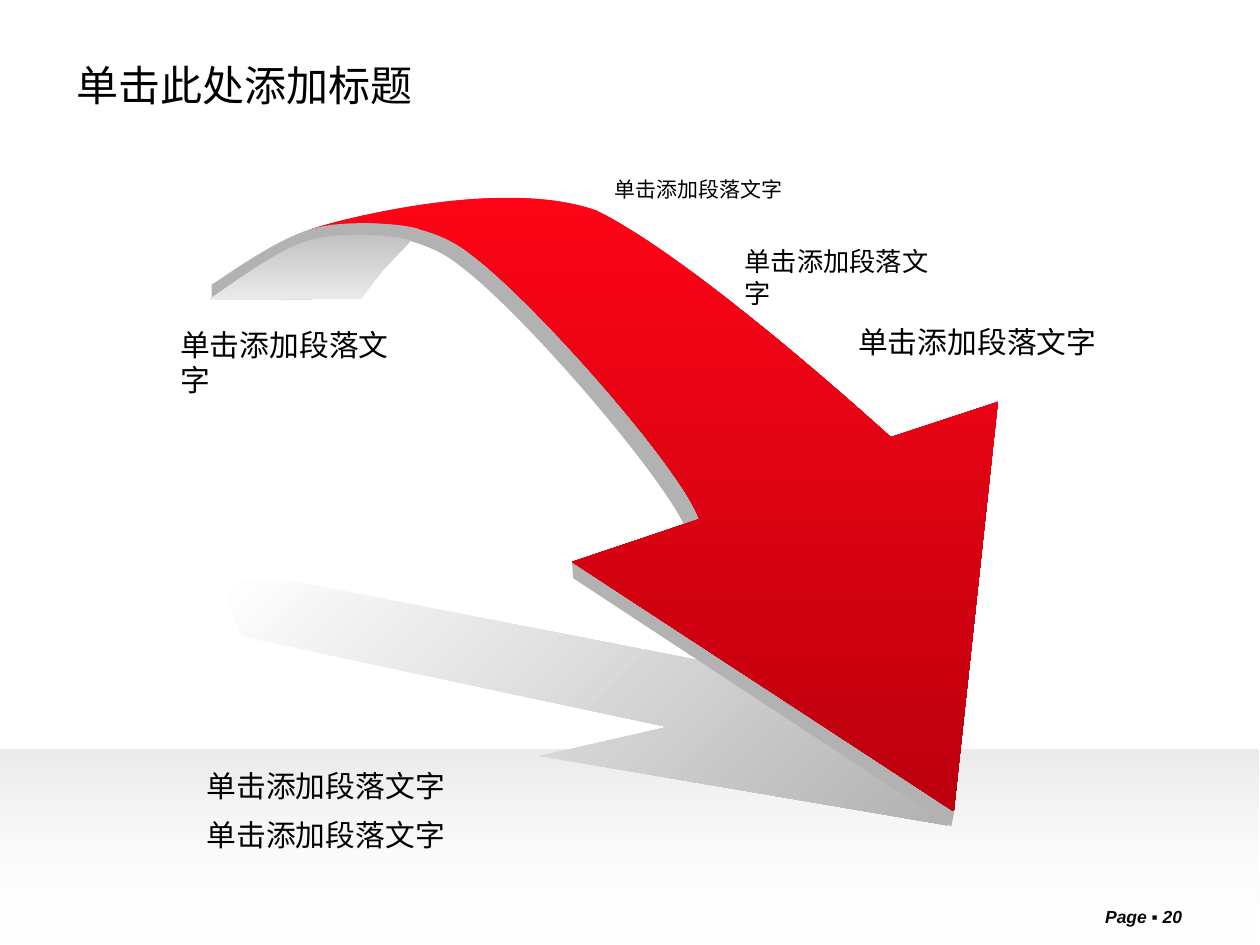
from lxml.etree import SubElement
from pptx import Presentation
from pptx.dml.color import RGBColor
from pptx.enum.shapes import MSO_SHAPE
from pptx.enum.text import MSO_ANCHOR, MSO_AUTO_SIZE, PP_ALIGN
from pptx.oxml.ns import qn
from pptx.util import Emu, Pt

EMU_PER_PX = 9144
FONT = "Arial"
BLACK = RGBColor(0, 0, 0)
WHITE = RGBColor(255, 255, 255)
EDGE_GRAY = RGBColor(0xB2, 0xB2, 0xB2)
TAIL_GRAY = RGBColor(0xC0, 0xC0, 0xC0)
TAIL_LIGHT = RGBColor(0xEA, 0xEA, 0xEA)
RED = RGBColor(0xFF, 0x05, 0x17)
DARK_RED = RGBColor(0xBC, 0x00, 0x0D)

# Each segment is a tuple of points: one ends a line, three make a curve.
CAST_SHADOW = [((752, 655),), ((429, 600),), ((530, 577),), ((192, 505),),
               ((173, 461),), ((226, 460),), ((575, 528),), ((747, 513),)]
ARROW_EDGE = [((545, 421),),
              ((529, 381), (416, 249), (365, 211)),
              ((311, 167), (222, 196), (238, 190)),
              ((255, 185), (387, 149), (463, 176)),
              ((544, 215), (698, 356), (698, 356)),
              ((783, 328),), ((757, 646),), ((755, 656),),
              ((455, 459),), ((454, 447),)]
ARROW_FACE = [((555, 412),),
              ((541, 372), (425, 240), (374, 202)),
              ((320, 158), (231, 187), (247, 182)),
              ((264, 176), (396, 140), (473, 167)),
              ((553, 206), (707, 347), (707, 347)),
              ((792, 319),), ((757, 644),), ((454, 446),)]
TAIL_EDGE = [((333, 182),),
             ((323, 178), (277, 174), (250, 181)),
             ((222, 188), (182, 217), (168, 226)),
             ((168, 237),), ((291, 222),), ((312, 205),)]
TAIL_FACE = [((326, 191),),
             ((316, 187), (271, 183), (245, 191)),
             ((218, 199), (180, 229), (167, 237)),
             ((168, 238),), ((286, 237),), ((304, 214),)]

LABEL = "单击添加段落文字"
LABELS = [
    ((130, 253, 205, 39), 17),
    ((578, 189, 191, 35), 15),
    ((475, 134, 161, 31), 12),
    ((668, 251, 218, 39), 17),
    ((151, 642, 218, 38), 17),
    ((151, 603, 218, 38), 17),
]


def px(length):
    return Emu(length * EMU_PER_PX)


def place(shape, box):
    shape.left, shape.top, shape.width, shape.height = map(px, box)


def paint(shape, colors, angle=90, alphas=()):
    shape.shadow.inherit = False
    shape.line.fill.background()
    if len(colors) == 1:
        shape.fill.solid()
        shape.fill.fore_color.rgb = colors[0]
        return
    shape.fill.gradient()
    shape.fill.gradient_angle = 360 - angle
    for stop, color in zip(shape.fill.gradient_stops, colors):
        stop.color.rgb = color
    color_elements = shape.element.spPr.iter(qn("a:srgbClr"))
    for element, alpha in zip(color_elements, alphas):
        SubElement(element, qn("a:alpha"), val=str(alpha * 1000))


def bend(shape, segments):
    sides = iter(list(shape.element.spPr.iter(qn("a:lnTo"))))
    for segment in segments:
        first, *others = [next(sides) for _ in segment]
        if others:
            first.tag = qn("a:cubicBezTo")
            for other in others:
                first.append(other[0])
                other.getparent().remove(other)


def add_outline(slide, segments, colors, angle=90):
    start, *corners = [point for segment in segments for point in segment]
    builder = slide.shapes.build_freeform(*start, scale=EMU_PER_PX)
    builder.add_line_segments(corners, close=True)
    outline = builder.convert_to_shape()
    bend(outline, segments[1:])
    paint(outline, colors, angle)


def write(frame, text, size, align=PP_ALIGN.LEFT, anchor=MSO_ANCHOR.TOP,
          bold=False, italic=False):
    frame.word_wrap = True
    frame.vertical_anchor = anchor
    paragraph = frame.paragraphs[0]
    paragraph.alignment = align
    run = paragraph.add_run()
    run.text = text
    font = run.font
    font.name, font.size = FONT, Pt(size)
    font.bold, font.italic = bold, italic
    font.color.rgb = BLACK


def add_floor(slide):
    floor = slide.shapes.add_shape(
        MSO_SHAPE.RECTANGLE, *map(px, (0, 595, 999, 155)))
    paint(floor, (EDGE_GRAY, WHITE), alphas=(27, 0))


def add_title(slide):
    title = slide.shapes.title
    place(title, (51, 35, 638, 65))
    write(title.text_frame, "单击此处添加标题", 24, anchor=MSO_ANCHOR.MIDDLE)


def add_page_number(slide):
    page = slide.shapes.add_textbox(*map(px, (791, 714, 157, 22)))
    write(page.text_frame, "Page ▪ 20", 10, align=PP_ALIGN.RIGHT,
          bold=True, italic=True)


def add_label(slide, box, size):
    frame = slide.shapes.add_textbox(*map(px, box)).text_frame
    frame.margin_left = frame.margin_right = px(13)
    frame.margin_top = frame.margin_bottom = px(6)
    frame.auto_size = MSO_AUTO_SIZE.SHAPE_TO_FIT_TEXT
    write(frame, LABEL, size)


def main():
    presentation = Presentation()
    presentation.slide_width, presentation.slide_height = px(1000), px(750)
    slide = presentation.slides.add_slide(presentation.slide_layouts[5])
    add_page_number(slide)
    add_floor(slide)
    add_title(slide)
    add_outline(slide, CAST_SHADOW, (WHITE, EDGE_GRAY), angle=45)
    add_outline(slide, ARROW_EDGE, (EDGE_GRAY,))
    add_outline(slide, ARROW_FACE, (RED, DARK_RED))
    add_outline(slide, TAIL_EDGE, (EDGE_GRAY,))
    add_outline(slide, TAIL_FACE, (TAIL_GRAY, TAIL_LIGHT))
    for box, size in LABELS:
        add_label(slide, box, size)
    presentation.save("out.pptx")


if __name__ == "__main__":
    main()
